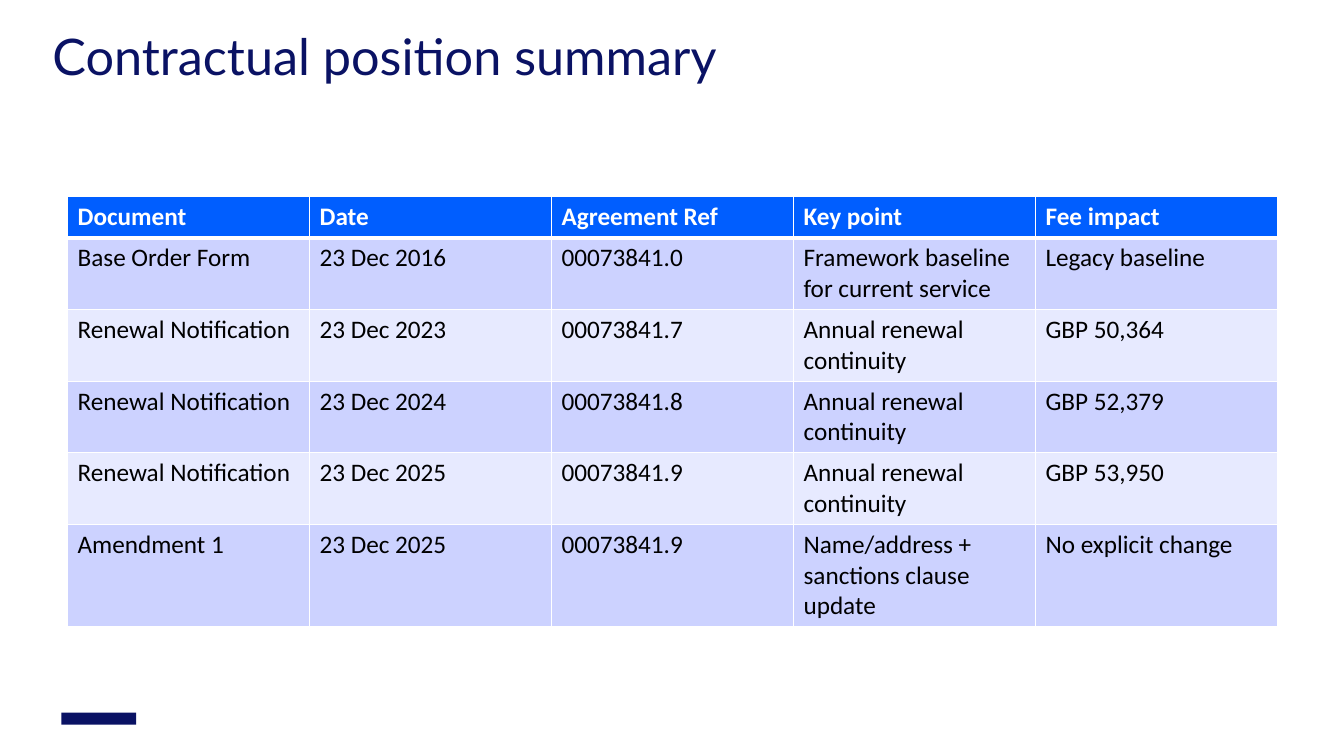
from lxml import etree
from pptx import Presentation
from pptx import util as u
from pptx.dml.color import RGBColor
from pptx.enum import shapes, text
from pptx.oxml import ns

PX = 9144
NAVY = RGBColor(0x0A, 0x12, 0x64)
BLUE = RGBColor(0x00, 0x5E, 0xFF)
BAND_DARK = RGBColor(0xCC, 0xD2, 0xFF)
BAND_LIGHT = RGBColor(0xE7, 0xEA, 0xFF)
WHITE = RGBColor(0xFF, 0xFF, 0xFF)
BLACK = RGBColor(0x00, 0x00, 0x00)

TITLE = {"name": "Lato", "size": u.Pt(36)}
HEADER = {"name": "Calibri", "size": u.Pt(18), "bold": True}
BODY = {"name": "Calibri", "size": u.Pt(18), "bold": False}

AGREEMENTS = [
    ("Document", "Date", "Agreement Ref", "Key point", "Fee impact"),
    ("Base Order Form", "23 Dec 2016", "00073841.0",
     "Framework baseline for current service", "Legacy baseline"),
    ("Renewal Notification", "23 Dec 2023", "00073841.7",
     "Annual renewal continuity", "GBP 50,364"),
    ("Renewal Notification", "23 Dec 2024", "00073841.8",
     "Annual renewal continuity", "GBP 52,379"),
    ("Renewal Notification", "23 Dec 2025", "00073841.9",
     "Annual renewal continuity", "GBP 53,950"),
    ("Amendment 1", "23 Dec 2025", "00073841.9",
     "Name/address + sanctions clause update", "No explicit change"),
]


def px(*lengths):
    """Turn px lengths into EMU."""
    return [u.Emu(n * PX) for n in lengths]


def write(p, content, color, formats):
    """Put one formatted run into a paragraph."""
    r = p.add_run()
    r.text = content
    for key, value in formats.items():
        setattr(r.font, key, value)
    r.font.color.rgb = color


def add_title(s, box, content):
    """Add the slide title."""
    tf = s.shapes.add_textbox(*px(*box)).text_frame
    settings = {"word_wrap": True, "vertical_anchor": text.MSO_ANCHOR.TOP,
                "margin_left": 0, "margin_top": 0,
                "margin_right": 0, "margin_bottom": 0}
    for key, value in settings.items():
        setattr(tf, key, value)
    p = tf.paragraphs[0]
    p.line_spacing = u.Pt(36)
    write(p, content, NAVY, TITLE)


def add_borders(cell, widths):
    """Draw white cell borders with a width in points for each side."""
    tc_pr = cell._tc.get_or_add_tcPr()
    for side, width in widths.items():
        ln = etree.SubElement(tc_pr, ns.qn(f"a:ln{side}"), w=str(u.Pt(width)))
        fill = etree.SubElement(ln, ns.qn("a:solidFill"))
        etree.SubElement(fill, ns.qn("a:srgbClr"), val=str(WHITE))


def fill_cell(cell, content, row):
    """Style and fill a cell according to its row."""
    head = row == 0
    add_borders(cell, {"L": 1, "R": 1, "T": 3 if row == 1 else 1,
                       "B": 3 if head else 1})
    cell.fill.solid()
    cell.fill.fore_color.rgb = BLUE if head else (BAND_LIGHT, BAND_DARK)[row % 2]
    write(cell.text_frame.paragraphs[0], content,
          WHITE if head else BLACK, HEADER if head else BODY)


def add_agreements(s, left, top, col_width, row_height):
    """Add the table of agreements."""
    rows, cols = len(AGREEMENTS), len(AGREEMENTS[0])
    box = px(left, top, cols * col_width, rows * row_height)
    table = s.shapes.add_table(rows, cols, *box).table
    for i, record in enumerate(AGREEMENTS):
        for j, content in enumerate(record):
            fill_cell(table.cell(i, j), content, i)


def add_mark(s, box):
    """Add the plain footer mark."""
    sp = s.shapes.add_shape(shapes.MSO_SHAPE.RECTANGLE, *px(*box))
    sp.shadow.inherit = False
    sp.fill.solid()
    sp.fill.fore_color.rgb = NAVY
    sp.line.fill.background()


def main():
    """Build and save the slide."""
    prs = Presentation()
    prs.slide_width, prs.slide_height = px(1333, 750)
    s = prs.slides.add_slide(prs.slide_layouts[6])
    add_mark(s, (61, 707, 74, 12))
    add_agreements(s, 67, 195, 240, 41)
    add_title(s, (52, 35, 1200, 67), "Contractual position summary")
    prs.save("out.pptx")


if __name__ == "__main__":
    main()
